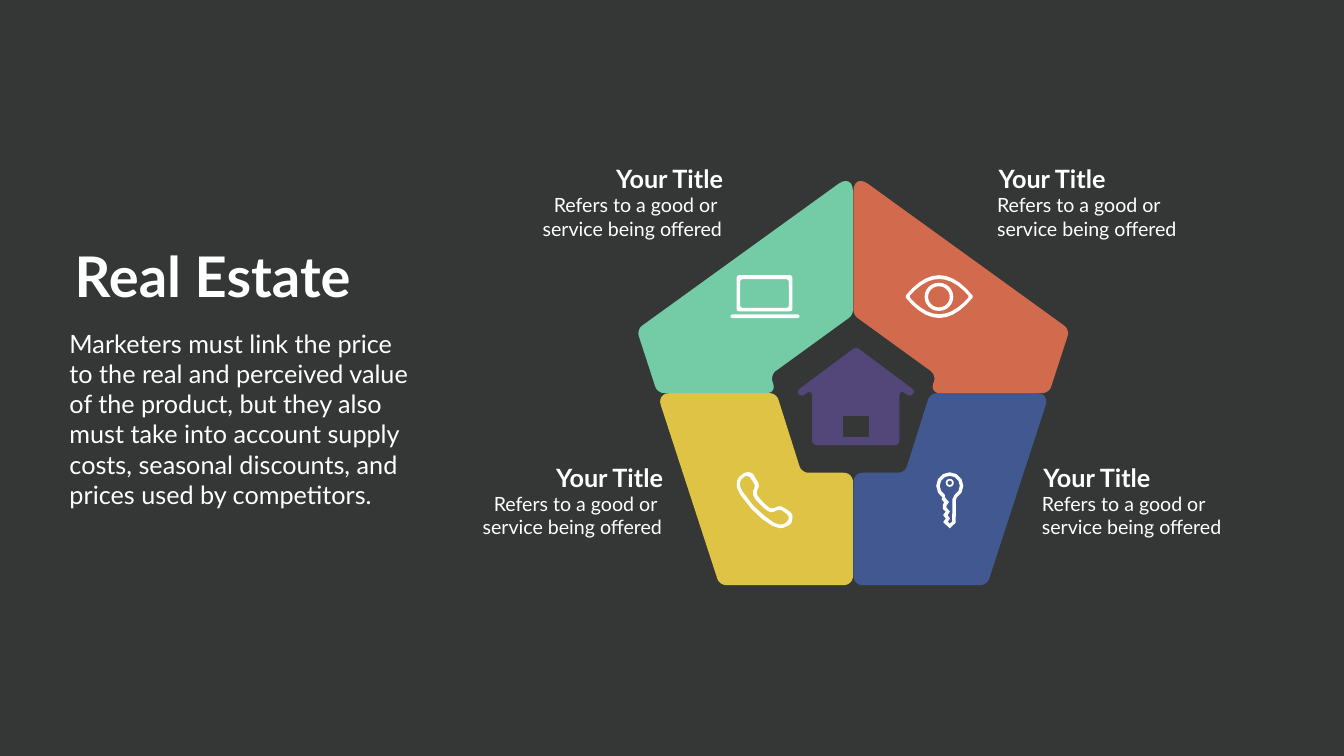
from math import cos, dist, hypot, radians, sin
from pptx import Presentation
from pptx.dml.color import RGBColor
from pptx.enum.shapes import MSO_SHAPE as Preset
from pptx.enum.text import MSO_ANCHOR as Anchor, MSO_AUTO_SIZE as AutoSize, PP_ALIGN as Align
from pptx.util import Inches, Pt

COLUMNS, ROWS = 26.66, 15
CELL = Inches(1)
BACKGROUND = RGBColor(0x35, 0x37, 0x37)
WHITE = RGBColor(0xFF, 0xFF, 0xFF)
TEXT = RGBColor(0xFE, 0xFF, 0xFF)
PURPLE = RGBColor(0x53, 0x46, 0x79)
YELLOW = RGBColor(0xDE, 0xC3, 0x45)
GREEN = RGBColor(0x73, 0xCC, 0xA5)
ORANGE = RGBColor(0xD2, 0x6B, 0x4E)
BLUE = RGBColor(0x42, 0x58, 0x91)

presentation = Presentation()
presentation.slide_width = int(COLUMNS * CELL)
presentation.slide_height = ROWS * CELL
slide = presentation.slides.add_slide(presentation.slide_layouts[5])
slide.background.fill.solid()
slide.background.fill.fore_color.rgb = BACKGROUND


def draw_rounded(contours, radius, color):
    builder = None
    for corners in contours:
        points = []
        for index, corner in enumerate(corners):
            before, after = corners[index - 1], corners[(index + 1) % len(corners)]
            lengths = dist(corner, before), dist(corner, after)
            ways = [((end[0] - corner[0]) / length, (end[1] - corner[1]) / length)
                    for end, length in zip((before, after), lengths)]
            (ax, ay), (bx, by) = ways
            setback = radius * hypot(ax + bx, ay + by) / max(hypot(ax - bx, ay - by), 0.01)
            setback = min(setback, lengths[0] / 2, lengths[1] / 2)
            steps = min(6, int(setback * 40))
            for t in [step / steps for step in range(steps + 1)] if steps else [0.5]:
                pull_in = (1 - t) ** 3 + 3 * 0.45 * t * (1 - t) ** 2
                pull_out = t ** 3 + 3 * 0.45 * t ** 2 * (1 - t)
                points.append(tuple(int(CELL * (middle + setback * (pull_in * a + pull_out * b)))
                                    for middle, a, b in zip(corner, *ways)))
        if builder is None:
            builder = slide.shapes.build_freeform(*points[0], scale=1.0)
        else:
            builder.move_to(*points[0])
        builder.add_line_segments(points[1:], close=True)
    shape = builder.convert_to_shape()
    shape.shadow.inherit = False
    shape.fill.solid()
    shape.fill.fore_color.rgb = color
    shape.line.fill.background()


def write_text(shape, box, lines, align, size, bold):
    shape.left, shape.top, shape.width, shape.height = (int(CELL * part) for part in box)
    frame = shape.text_frame
    frame_format = {"word_wrap": True, "auto_size": AutoSize.NONE, "vertical_anchor": Anchor.TOP}
    for name, value in frame_format.items():
        setattr(frame, name, value)
    frame.text = "\n".join(lines)
    for paragraph in frame.paragraphs:
        paragraph.alignment = align
        for name, value in {"name": "Lato", "size": Pt(size), "bold": bold}.items():
            setattr(paragraph.font, name, value)
        paragraph.font.color.rgb = TEXT


house = [(16.98, 6.88), (18.16, 7.76), (18.06, 7.88), (17.84, 7.72), (17.84, 8.83),
         (16.11, 8.83), (16.11, 7.72), (15.89, 7.88), (15.8, 7.76)]
door = [(16.71, 8.68), (16.71, 8.24), (17.24, 8.24), (17.24, 8.68)]
draw_rounded([house], 0.08, PURPLE)
draw_rounded([door], 0.02, BACKGROUND)

AXIS = 16.925
lower_part = [(13.03, 7.8), (15.4, 7.8), (15.9, 9.38), (16.92, 9.38), (16.92, 11.61), (14.27, 11.61)]
upper_part = [(16.92, 3.44), (16.92, 6.25), (15.28, 7.44), (15.4, 7.8), (13.04, 7.8), (12.63, 6.54)]
for part, left_color, right_color in [(lower_part, YELLOW, BLUE), (upper_part, GREEN, ORANGE)]:
    draw_rounded([part], 0.18, left_color)
    draw_rounded([[(2 * AXIS - x, y) for x, y in part]], 0.18, right_color)

phone = [(15.5, 10.49), (15.33, 10.44), (15.12, 10.3), (14.9, 10.09), (14.68, 9.81),
         (14.61, 9.65), (14.63, 9.49), (14.78, 9.37), (14.92, 9.37), (14.99, 9.49), (15.07, 9.63),
         (14.99, 9.79), (15.13, 9.96), (15.3, 10.11), (15.47, 10.03), (15.61, 10.11),
         (15.73, 10.2), (15.7, 10.4)]
phone_inside = [(14.85, 9.43), (14.77, 9.45), (14.69, 9.52), (14.67, 9.64), (14.74, 9.77),
                (14.95, 10.04), (15.17, 10.24), (15.36, 10.38), (15.51, 10.42),
                (15.63, 10.35), (15.66, 10.24), (15.57, 10.17), (15.47, 10.1), (15.29, 10.18),
                (15.15, 10.08), (14.99, 9.92), (14.92, 9.78), (14.99, 9.64)]
draw_rounded([phone, phone_inside], 0.1, WHITE)

eye = []
for half_width, half_height in [(0.68, 0.425), (0.6, 0.35)]:
    shares = [step / 5 for step in range(-5, 5)]
    eye.append([(18.63 + side * half_width * share, 5.885 - side * half_height * (1 - share ** 2))
                for side in (1, -1) for share in shares])
draw_rounded(eye, 0.03, WHITE)

screen = [[(left, top), (right, top), (right, bottom), (left, bottom)]
          for left, top, right, bottom in [(14.61, 5.46, 15.72, 6.18), (14.68, 5.54, 15.65, 6.11)]]
draw_rounded(screen, 0.05, WHITE)

shaft = [(18.96, 9.94), (18.96, 10.37), (18.84, 10.49), (18.7, 10.36), (18.77, 10.29), (18.7, 10.22),
         (18.77, 10.15), (18.7, 10.1), (18.7, 10.01), (18.74, 9.97), (18.67, 9.91)]
shaft_inside = [(18.89, 9.91), (18.89, 10.35), (18.84, 10.4), (18.79, 10.35), (18.85, 10.29),
                (18.79, 10.22), (18.85, 10.15), (18.77, 10.07), (18.77, 10.04), (18.83, 9.96),
                (18.75, 9.88)]
key = [[(18.84 + radius * cos(radians(angle)), 9.64 + radius * sin(radians(angle)))
        for angle in range(120, 421, 30)] + rest
       for radius, rest in [(0.27, shaft), (0.2, shaft_inside)]]
draw_rounded(key, 0.02, WHITE)

for preset, box, adjustment in [
    (Preset.DONUT, (18.34, 5.61, 0.57, 0.56), 0.125),
    (Preset.ROUNDED_RECTANGLE, (14.49, 6.24, 1.37, 0.07), 0.5),
    (Preset.DONUT, (18.76, 9.5, 0.16, 0.16), 0.22),
]:
    shape = slide.shapes.add_shape(preset, *(int(CELL * part) for part in box))
    shape.adjustments[0] = adjustment
    shape.shadow.inherit = False
    shape.fill.solid()
    shape.fill.fore_color.rgb = WHITE
    shape.line.fill.background()

write_text(slide.shapes.title, (1.29, 4.75, 5.86, 1.45), ["Real Estate"], Align.CENTER, 80, True)
introduction = ("Marketers must link the price to the real and perceived value of the product, "
                "but they also must take into account supply costs, seasonal discounts, "
                "and prices used by competitors.")
captions = [((1.28, 6.46, 7.01, 3.65), [introduction], Align.LEFT, 36, False)]
for left, top, align in [(9.31, 9.12, Align.RIGHT), (10.5, 3.19, Align.RIGHT),
                         (19.68, 3.19, Align.LEFT), (20.57, 9.12, Align.LEFT)]:
    on_right = align == Align.LEFT
    heading_left = left + (0.03 if on_right else 1.4)
    first_line = "Refers to a good or" + ("" if on_right else " ")
    captions += [
        ((left, top + 0.59, 3.92, 1.01), [first_line, "service being offered"], align, 28, False),
        ((heading_left, top, 2.54, 0.51), ["Your Title"], align, 36, True),
    ]
for box, lines, align, size, bold in captions:
    write_text(slide.shapes.add_textbox(0, 0, CELL, CELL), box, lines, align, size, bold)

presentation.save("out.pptx")
